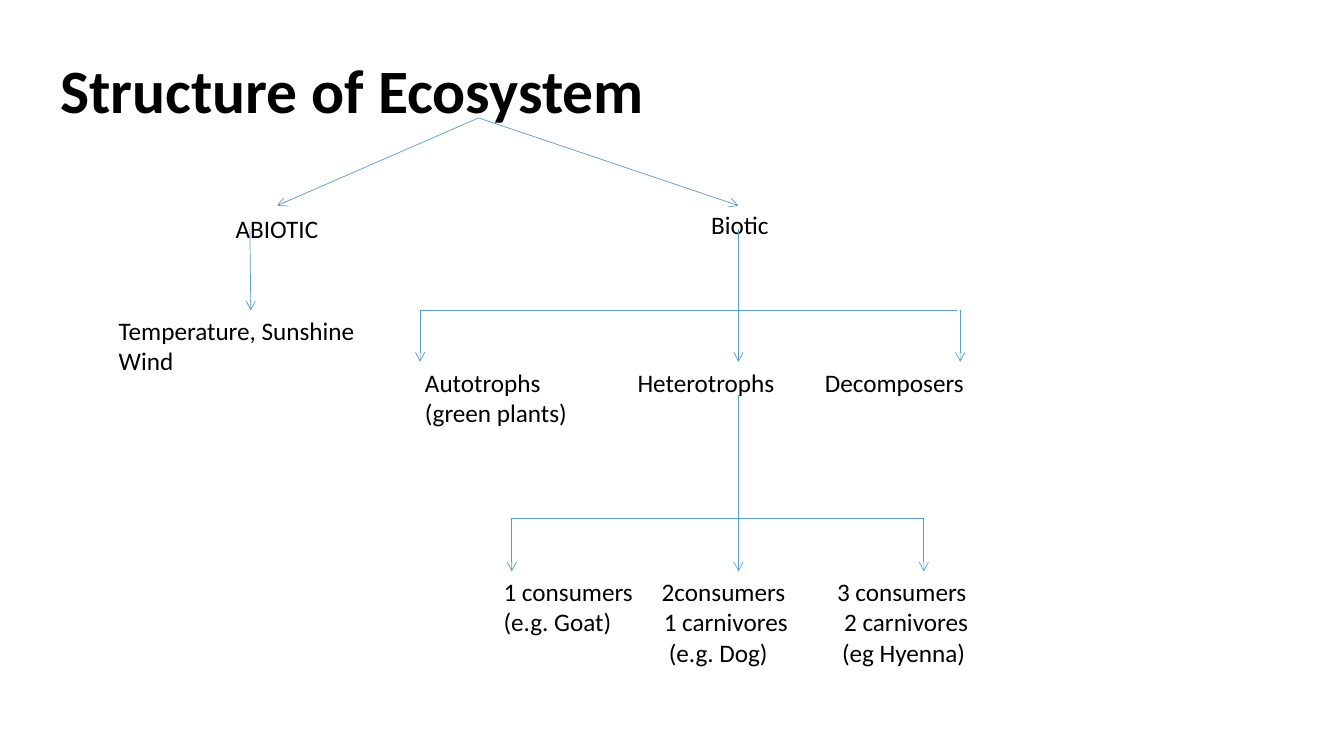
from pptx import Presentation
from pptx.dml.color import RGBColor
from pptx.enum.shapes import MSO_CONNECTOR as Connector
from pptx.enum.text import MSO_ANCHOR as Anchor, PP_ALIGN as Align
from pptx.oxml.ns import qn
from pptx.util import Inches, Pt
from lxml.etree import SubElement

COLORS = {"text": "000000", "branch": "5B9BD5"}

deck = Presentation()
deck.slide_width, deck.slide_height = Inches(13.34), Inches(7.5)
slide = deck.slides.add_slide(deck.slide_layouts[6])


def add_label(left, top, width, height, lines, size=18, bold=False,
              align=Align.LEFT, anchor=Anchor.TOP, spacing=1.0):
    label = slide.shapes.add_textbox(*map(Inches, (left, top, width, height)))
    frame = label.text_frame
    frame.word_wrap = True
    frame.vertical_anchor = anchor
    for index, (words, stops) in enumerate(lines):
        paragraph = frame.paragraphs[0] if index == 0 else frame.add_paragraph()
        paragraph.alignment = align
        paragraph.line_spacing = spacing
        if stops:
            tabs = SubElement(paragraph._p.get_or_add_pPr(), qn("a:tabLst"))
            for stop in stops:
                SubElement(tabs, qn("a:tab"), pos=str(Inches(stop)), algn="l")
        run = paragraph.add_run()
        run.text = words
        run.font.name = "Calibri"
        run.font.size = Pt(size)
        run.font.bold = bold
        run.font.color.rgb = RGBColor.from_string(COLORS["text"])


def add_branch(start_x, start_y, end_x, end_y, arrow=True):
    branch = slide.shapes.add_connector(
        Connector.STRAIGHT, *map(Inches, (start_x, start_y, end_x, end_y)))
    branch.line.color.rgb = RGBColor.from_string(COLORS["branch"])
    branch.line.width = Pt(0.5)
    if arrow:
        SubElement(branch.line._get_or_add_ln(), qn("a:tailEnd"), type="arrow")
    SubElement(branch._element.spPr, qn("a:effectLst"))


root_x, root_y = 4.75, 1.17
abiotic_x, biotic_x = 2.75, 7.33
component_y, stem_y = 2.04, 2.27
group_bar_y, group_y = 3.08, 3.59
consumer_bar_y, consumer_y = 5.14, 5.67

add_label(0.5, 0.3, 9, 1.25, [("Structure of Ecosystem", [])],
          size=44, bold=True, anchor=Anchor.MIDDLE, spacing=0.9)
add_label(6.96, 2.03, 1.25, 0.4, [("Biotic", [])])
add_label(2.24, 2.07, 1.51, 0.4, [("ABIOTIC", [])])
add_label(1.08, group_bar_y, 2.67, 0.7,
          [("Temperature, Sunshine", []), ("Wind", [])], align=Align.JUSTIFY)
add_label(4.12, group_y, 5.63, 1, [
    ("Autotrophs\tHeterotrophs\tDecomposers", [2.11, 3.97]),
    ("(green plants)", []),
])
add_label(4.9, consumer_y, 5, 1, [
    ("1 consumers\t2consumers\t3 consumers", [1.57, 3.31]),
    ("(e.g. Goat)\t1 carnivores\t2 carnivores", [1.59, 3.38]),
    ("\t(e.g. Dog)\t(eg Hyenna)", [1.64, 3.36]),
])

for component_x in (biotic_x, abiotic_x):
    add_branch(root_x, root_y, component_x, component_y)
add_branch(2.48, stem_y, 2.49, group_bar_y)

levels = [
    (stem_y, group_bar_y, group_y, 9.5, (4.17, biotic_x, 9.53)),
    (3.92, consumer_bar_y, consumer_y, 9.17, (5.08, biotic_x, 9.17)),
]
for trunk_y, bar_y, tip_y, bar_end, child_columns in levels:
    add_branch(child_columns[0], bar_y, bar_end, bar_y, arrow=False)
    add_branch(biotic_x, trunk_y, biotic_x, bar_y, arrow=False)
    for child_x in child_columns:
        add_branch(child_x, bar_y, child_x, tip_y)

deck.save("out.pptx")
